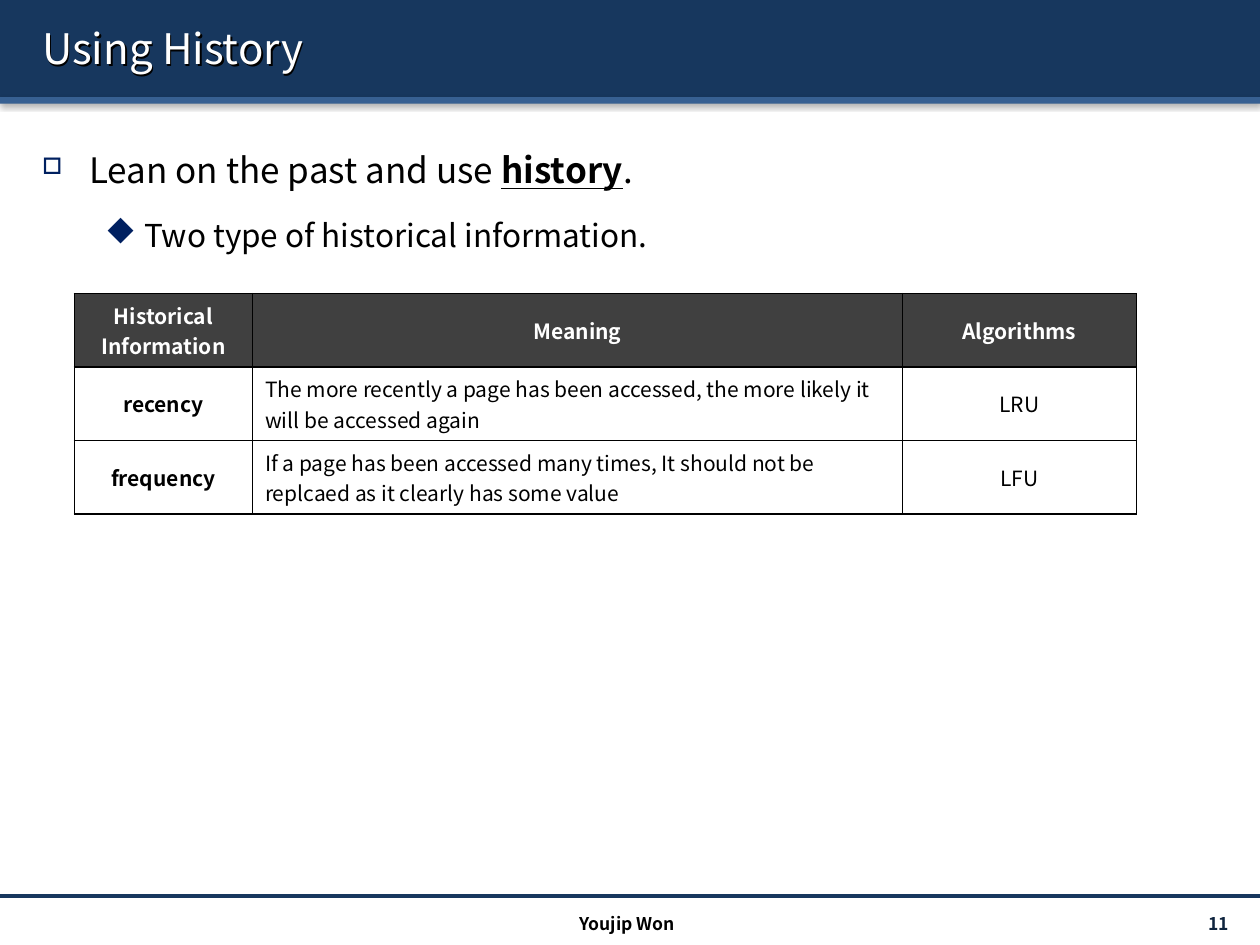
from lxml.etree import SubElement
from pptx import Presentation
from pptx.dml.color import RGBColor
from pptx.enum.shapes import MSO_CONNECTOR, MSO_SHAPE
from pptx.enum.text import MSO_ANCHOR, PP_ALIGN
from pptx.oxml.ns import qn
from pptx.util import Cm, Pt

FONT = "Noto Sans CJK KR"
NAVY, BLUE, BULLET = "17375E", "376092", "002060"
BLACK, WHITE, HEADER = "000000", "FFFFFF", "404040"
WIDTH, HEIGHT = 25.4, 19.05
ROWS = [
    ("Historical Information", "Meaning", "Algorithms"),
    ("recency", "The more recently a page has been accessed, "
     "the more likely it will be accessed again", "LRU"),
    ("frequency", "If a page has been accessed many times, It should not be "
     "replcaed as it clearly has some value", "LFU"),
]


def rgb(color):
    return RGBColor.from_string(color)


def add(parent, tag, **attrs):
    return SubElement(parent, qn(tag), {k: str(v) for k, v in attrs.items()})


def add_shadow(sp, blur, dist, angle, alpha):
    sp.shadow.inherit = False
    effects = sp._element.spPr.find(qn("a:effectLst"))
    shadow = add(effects, "a:outerShdw", blurRad=Pt(blur), dist=Pt(dist),
                 dir=angle * 60000, algn="tl", rotWithShape=0)
    add(add(shadow, "a:srgbClr", val=BLACK), "a:alpha", val=alpha * 1000)


def style(p, size, color=BLACK, bold=False, align=PP_ALIGN.LEFT):
    p.alignment = align
    font = p.font
    font.name, font.size, font.bold = FONT, Pt(size), bold
    font.color.rgb = rgb(color)


def add_text(slide, x, y, w, h, anchor=MSO_ANCHOR.TOP):
    sp = slide.shapes.add_textbox(Cm(x), Cm(y), Cm(w), Cm(h))
    sp.text_frame.word_wrap = True
    sp.text_frame.vertical_anchor = anchor
    return sp


def add_bar(slide, x, y, w, h, color):
    sp = slide.shapes.add_shape(MSO_SHAPE.RECTANGLE, Cm(x), Cm(y), Cm(w), Cm(h))
    sp.fill.solid()
    sp.fill.fore_color.rgb = rgb(color)
    sp.line.fill.background()
    add_shadow(sp, 3.1, 1.6, 90, 38)


def add_header(slide, x, y, w, h, title):
    strip = 0.13
    add_bar(slide, x, y, w, h - strip, NAVY)
    add_bar(slide, x, y + h - strip, w, strip, BLUE)
    sp = add_text(slide, x + 0.6, y + 0.15, w - 0.99, 1.63, MSO_ANCHOR.MIDDLE)
    add_shadow(sp, 0, 1.5, 45, 100)
    p = sp.text_frame.paragraphs[0]
    p.text = title
    style(p, 24, WHITE)


def format_bullet(p, char, indent, hang, size_pct, font_size):
    """Give the paragraph a hanging bullet; char is a Wingdings code."""
    pPr = p._p.get_or_add_pPr()
    pPr.set("marL", str(Cm(indent)))
    pPr.set("indent", str(-Cm(hang)))
    add(add(pPr, "a:buClr"), "a:srgbClr", val=BULLET)
    add(pPr, "a:buSzPct", val=size_pct * 1000)
    add(pPr, "a:buFont", typeface="Wingdings", pitchFamily=2, charset=2)
    add(pPr, "a:buChar", char=char)
    p.line_spacing = 1.5
    style(p, font_size)


def add_body(slide, x, y, w, h):
    tf = add_text(slide, x, y, w, h).text_frame
    p = tf.paragraphs[0]
    format_bullet(p, "o", 0.95, 0.95, 65, 20)
    p.add_run().text = "Lean on the past and use "
    r = p.add_run()
    r.text = "history"
    r.font.bold = r.font.underline = True
    p.add_run().text = "."

    p = tf.add_paragraph()
    p.level = 1
    format_bullet(p, "u", 2.06, 0.79, 100, 18)
    p.space_before = Pt(4)
    p.add_run().text = "Two type of historical information."


def add_borders(cell):
    """Line all four sides; the fill must be set afterwards."""
    tcPr = cell._tc.get_or_add_tcPr()
    for side in ("a:lnL", "a:lnR", "a:lnT", "a:lnB"):
        ln = add(tcPr, side, w=Pt(1))
        add(add(ln, "a:solidFill"), "a:srgbClr", val=BLACK)


def add_history_table(slide, x, y, col_widths, row_height):
    table = slide.shapes.add_table(
        len(ROWS), len(col_widths), Cm(x), Cm(y),
        Cm(sum(col_widths)), Cm(row_height * len(ROWS))).table
    for column, width in zip(table.columns, col_widths):
        column.width = Cm(width)
    for i, texts in enumerate(ROWS):
        for j, text in enumerate(texts):
            cell = table.cell(i, j)
            head = i == 0
            add_borders(cell)
            cell.fill.solid()
            cell.fill.fore_color.rgb = rgb(HEADER if head else WHITE)
            cell.vertical_anchor = MSO_ANCHOR.MIDDLE
            p = cell.text_frame.paragraphs[0]
            p.text = text
            align = PP_ALIGN.LEFT if j == 1 and not head else PP_ALIGN.CENTER
            style(p, 12, WHITE if head else BLACK, head or j == 0, align)


def add_footer(slide, x, y, w, author, number):
    line = slide.shapes.add_connector(
        MSO_CONNECTOR.STRAIGHT, Cm(x), Cm(y), Cm(x + w), Cm(y))
    line.line.color.rgb = rgb(NAVY)
    line.line.width = Pt(2)
    add(line._element.spPr, "a:effectLst")

    sp = add_text(slide, x + 22.13, y + 0.25, 2.97, 0.61, MSO_ANCHOR.MIDDLE)
    p = sp.text_frame.paragraphs[0]
    p.text = number
    style(p, 10, "0F243E", True, PP_ALIGN.RIGHT)
    sp = add_text(slide, x + 8.43, y + 0.23, 8.43, 0.61)
    p = sp.text_frame.paragraphs[0]
    p.text = author
    style(p, 10, BLACK, True, PP_ALIGN.CENTER)


def main():
    prs = Presentation()
    prs.slide_width, prs.slide_height = Cm(WIDTH), Cm(HEIGHT)
    slide = prs.slides.add_slide(prs.slide_layouts[6])
    add_header(slide, 0, 0, WIDTH, 2.09, "Using History")
    add_body(slide, 0.6, 2.44, 24.41, 15.29)
    add_history_table(slide, 1.5, 5.92, (3.59, 13.1, 4.72), 1.48)
    add_footer(slide, 0, 18.06, WIDTH, "Youjip Won", "11 ")
    prs.save("out.pptx")


if __name__ == "__main__":
    main()
